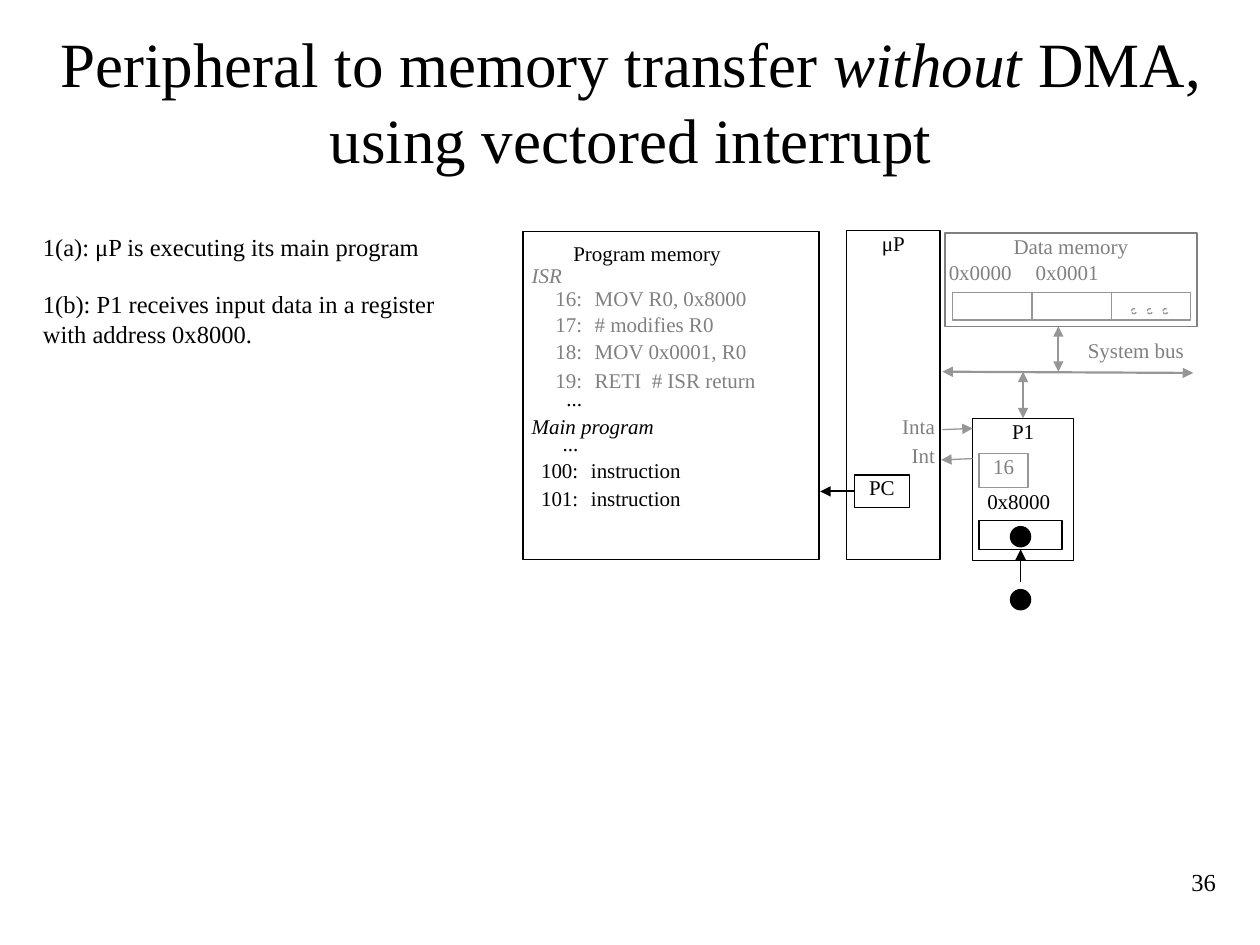
from dataclasses import dataclass

from lxml.etree import SubElement
from pptx import Presentation
from pptx.dml.color import RGBColor
from pptx.enum.dml import MSO_LINE
from pptx.enum.shapes import MSO_CONNECTOR, MSO_SHAPE
from pptx.enum.text import MSO_ANCHOR, MSO_AUTO_SIZE, PP_ALIGN
from pptx.oxml.ns import qn
from pptx.util import Inches, Pt


@dataclass
class Theme:
    font: str = "Times New Roman"
    black: RGBColor = RGBColor(0, 0, 0)
    gray: RGBColor = RGBColor(0x80, 0x80, 0x80)
    pale: RGBColor = RGBColor(0x96, 0x96, 0x96)
    title: Pt = Pt(36)
    body: Pt = Pt(14)
    label: Pt = Pt(12)
    thin: Pt = Pt(0.75)
    thick: Pt = Pt(1.25)


theme = Theme()
left, mid, right = PP_ALIGN.LEFT, PP_ALIGN.CENTER, PP_ALIGN.RIGHT
deck = Presentation()
deck.slide_width, deck.slide_height = Inches(10), Inches(7.5)
slide = deck.slides.add_slide(deck.slide_layouts[1])
shapes = slide.shapes


def put(box, text="", ink=theme.black, align=left, kind=None, edge=None, size=theme.label):
    place = [Inches(v) for v in box]
    if kind is None:
        shape = shapes.add_textbox(*place)
    else:
        shape = shapes.add_shape(kind, *place)
        shape.shadow.inherit = False
        shape.fill.background()
        shape.line.color.rgb = edge or ink
        shape.line.width = theme.thin
    if text:
        frame = shape.text_frame
        frame.word_wrap = True
        frame.vertical_anchor = MSO_ANCHOR.TOP
        frame.margin_left = frame.margin_right = frame.margin_top = frame.margin_bottom = 0
        frame.text = text
        frame.paragraphs[0].alignment = align
        font = frame.paragraphs[0].runs[0].font
        font.name, font.size, font.color.rgb = theme.font, size, ink
    return shape


def wire(start, end, ink=theme.pale, width=theme.thick, both=False):
    line = shapes.add_connector(MSO_CONNECTOR.STRAIGHT, *[Inches(v) for v in start + end])
    line.line.color.rgb = ink
    line.line.width = width
    props = line.element.spPr
    stroke = props.find(qn("a:ln"))
    for tip in ["headEnd", "tailEnd"] if both else ["tailEnd"]:
        SubElement(stroke, qn("a:" + tip), type="triangle")
    SubElement(props, qn("a:effectLst"))
    return line


title = shapes.title
title.left, title.top, title.width, title.height = [Inches(v) for v in (0.42, 0.17, 9.17, 1.25)]
frame = title.text_frame
frame.auto_size = MSO_AUTO_SIZE.NONE
frame.vertical_anchor = MSO_ANCHOR.MIDDLE
frame.margin_left = frame.margin_right = 0
head = frame.paragraphs[0]
head.alignment = mid
for part in ["Peripheral to memory transfer ", "without", " DMA, using vectored interrupt"]:
    run = head.add_run()
    run.text = part
    run.font.name, run.font.size, run.font.color.rgb = theme.font, theme.title, theme.black
    run.font.italic = part == "without"

body = slide.placeholders[1]
body.left, body.top, body.width, body.height = [Inches(v) for v in (0.34, 1.84, 3.42, 0.93)]
frame = body.text_frame
frame.auto_size = MSO_AUTO_SIZE.NONE
frame.margin_left = frame.margin_right = frame.margin_top = frame.margin_bottom = 0
frame.text = ("1(a): μP is executing its main program\n"
              "1(b): P1 receives input data in a register with address 0x8000.")
for step, gap in zip(frame.paragraphs, [0, 16]):
    props = step._p.get_or_add_pPr()
    props.set("marL", "0")
    props.set("indent", "0")
    SubElement(props, qn("a:buNone"))
    step.alignment = left
    step.space_before = Pt(gap)
    font = step.runs[0].font
    font.name, font.size, font.color.rgb = theme.font, theme.body, theme.black

put((8.75, 6.88, 0.9, 0.4), "36", align=right, size=theme.body)

rect, oval = MSO_SHAPE.RECTANGLE, MSO_SHAPE.OVAL
put((4.15, 1.84, 2.35, 2.6), kind=rect)
put((6.72, 1.83, 0.74, 2.61), "μP", align=mid, kind=rect)
port = put((7.72, 3.32, 0.8, 1.13), "P1", align=mid, kind=rect)
store = put((7.77, 4.13, 0.66, 0.23), kind=rect)
count = put((6.78, 3.77, 0.44, 0.26), "PC", align=mid, kind=rect)
put((7.5, 1.85, 2, 0.74), "Data memory", theme.gray, mid, rect)
put((7.77, 3.6, 0.39, 0.27), "16", theme.gray, mid, rect, theme.pale)

for i in range(3):
    put((7.56 + 0.63 * i, 2.32, 0.63, 0.22), kind=rect, edge=theme.pale)
    dot = put((8.98 + 0.125 * i, 2.45, 0.04, 0.04), kind=oval, edge=theme.pale)
    dot.line.dash_style = MSO_LINE.DASH
for top in [4.18, 4.68]:
    ball = put((8.02, top, 0.16, 0.16), kind=oval)
    ball.fill.solid()
    ball.fill.fore_color.rgb = theme.black

put((4.55, 1.91, 1.61, 0.3), "Program memory")
for top, text, ink in [(2.08, "ISR", theme.gray), (3.28, "Main program", theme.black)]:
    part = put((4.22, top, 1.38, 0.3), text, ink)
    part.text_frame.paragraphs[0].runs[0].font.italic = True

code = [
    (2.27, "16:", "MOV R0, 0x8000", theme.gray),
    (2.47, "17:", "# modifies R0", theme.gray),
    (2.69, "18:", "MOV 0x0001, R0", theme.gray),
    (2.92, "19:", "RETI  # ISR return", theme.gray),
    (3.06, "...", "", theme.black),
    (3.42, "...", "", theme.black),
    (3.63, "100:", "instruction", theme.black),
    (3.85, "101:", "instruction", theme.black),
]
for top, mark, text, ink in code:
    end = 4.59 if top > 3.4 else 4.62
    put((end - 0.45, top, 0.45, 0.23), mark, ink, right)
    if text:
        put((end + 0.1, top, 1.75, 0.23), text, ink)

put((7.74, 3.88, 0.69, 0.27), "0x8000", align=mid)
put((8.49, 2.68, 1.05, 0.31), "System bus", theme.gray, mid)
for x, text in [(7.53, "0x0000"), (8.22, "0x0001")]:
    put((x, 2.06, 0.68, 0.22), text, theme.gray)
for top, text in [(3.28, "Inta"), (3.51, "Int")]:
    put((7.06, top, 0.36, 0.29), text, theme.gray, right)

wire((7.48, 2.95), (9.47, 2.96), both=True)
wire((8.4, 2.59), (8.4, 2.95), both=True)
wire((8.12, 2.95), (8.12, 3.32), both=True).end_connect(port, 0)
wire((7.48, 3.41), (7.72, 3.4), width=theme.thin)
wire((7.72, 3.64), (7.47, 3.65), width=theme.thin)
wire((6.78, 3.9), (6.51, 3.9), theme.black).begin_connect(count, 1)
wire((8.1, 4.62), (8.1, 4.36), theme.black, theme.thin).end_connect(store, 2)

deck.save("out.pptx")
